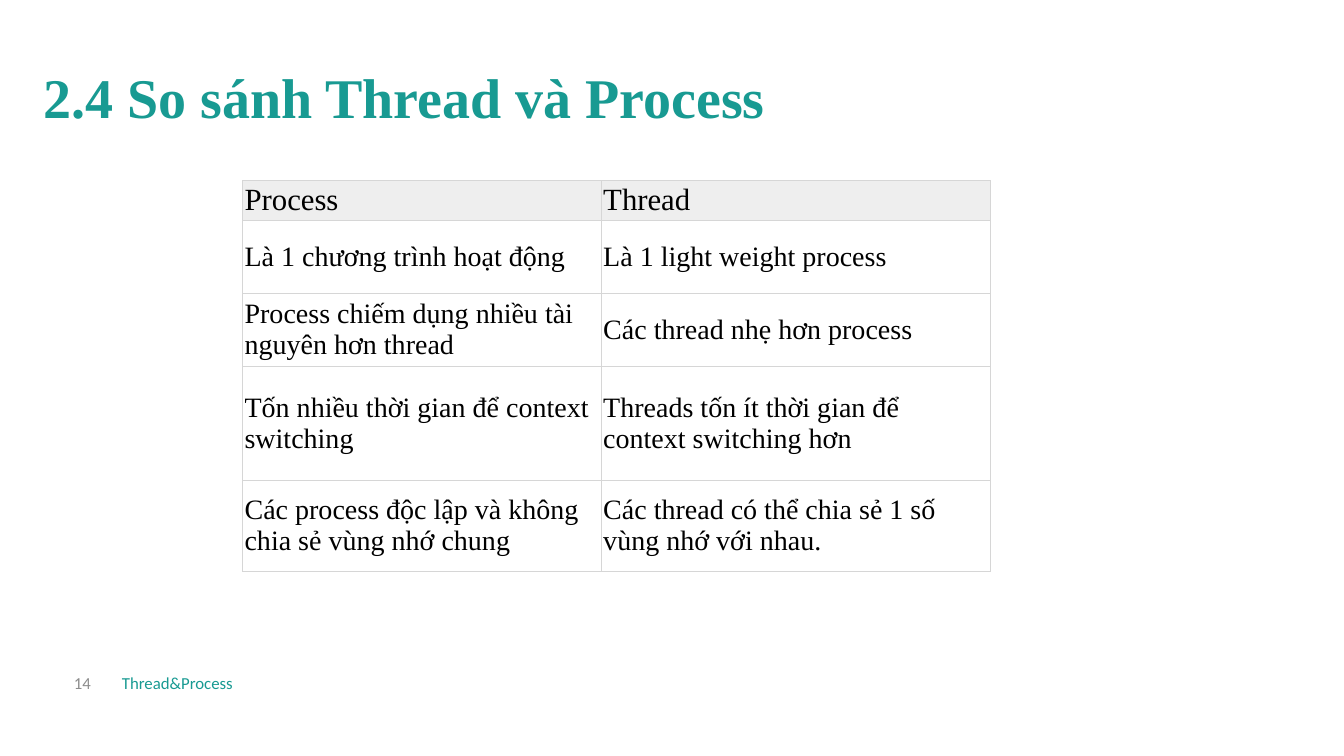
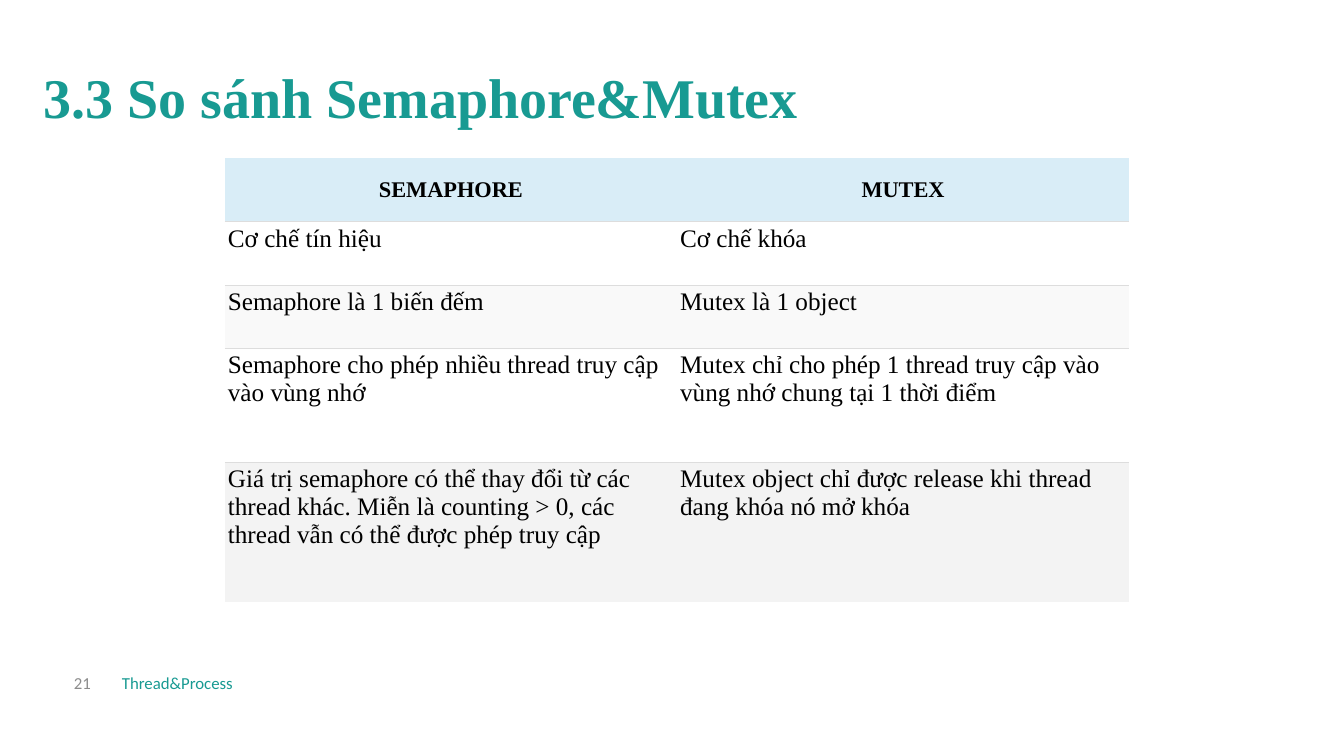
from lxml.etree import SubElement
from pptx import Presentation
from pptx.dml.color import RGBColor
from pptx.enum.text import MSO_ANCHOR, PP_ALIGN
from pptx.oxml.ns import qn
from pptx.util import Pt

COLORS = {
    "teal": "189A92",
    "gray": "8C8C8C",
    "black": "000000",
    "white": "FFFFFF",
    "header_gray": "EEEEEE",
    "header_blue": "D9EDF7",
    "stripe": "F9F9F9",
    "last_stripe": "F3F3F3",
    "grid": "D6D6D6",
    "rule": "DDDDDD",
}
SERIF = "Times New Roman"
SANS = "Calibri"


def color(name):
    return RGBColor.from_string(COLORS[name])


def write(frame, text, size=20, font=SERIF, fill="black", bold=False,
          align=PP_ALIGN.LEFT, spacing=None):
    para = frame.paragraphs[0]
    para.alignment = align
    if spacing:
        para.line_spacing = spacing
    span = para.add_run()
    span.text = text
    span.font.size = Pt(size)
    span.font.name = font
    span.font.bold = bold
    span.font.color.rgb = color(fill)


def set_borders(cell, sides):
    properties = cell._tc.get_or_add_tcPr()
    for index, side in enumerate(("L", "R", "T", "B")):
        line = SubElement(properties, qn(f"a:ln{side}"), w=str(Pt(0.75)))
        if side in sides:
            solid = SubElement(line, qn("a:solidFill"))
            SubElement(solid, qn("a:srgbClr"), val=COLORS[sides[side]])
        else:
            SubElement(line, qn("a:noFill"))
        properties.insert(index, line)


class SlideWriter:
    def __init__(self):
        self.deck = Presentation()
        self.deck.slide_width = Pt(960)
        self.deck.slide_height = Pt(540)
        self.page = None

    def start_page(self, title, number):
        self.page = self.deck.slides.add_slide(self.deck.slide_layouts[6])
        self.text(title, 24, 17.3, 924, 80.6, size=40, fill="teal",
                  bold=True, spacing=1.5)
        footer = dict(anchor=MSO_ANCHOR.MIDDLE, size=12, font=SANS)
        self.text("Thread&Process", 80, 473, 304, 28.8, fill="teal", **footer)
        self.text(str(number), 24, 473, 48, 28.8, fill="gray",
                  align=PP_ALIGN.RIGHT, **footer)

    def text(self, text, left, top, width, height, anchor=MSO_ANCHOR.TOP,
             **style):
        box = self.page.shapes.add_textbox(Pt(left), Pt(top), Pt(width),
                                           Pt(height))
        frame = box.text_frame
        frame.word_wrap = True
        frame.vertical_anchor = anchor
        write(frame, text, **style)

    def table(self, rows, left, top, widths, heights, fills, margin,
              header, body, body_anchor, grid=None, rule=None):
        table = self.page.shapes.add_table(
            len(rows), len(widths), Pt(left), Pt(top), Pt(sum(widths)),
            Pt(sum(heights))).table
        table.first_row = False
        table.horz_banding = False
        for column, width in zip(table.columns, widths):
            column.width = Pt(width)
        for index, (texts, height, fill) in enumerate(
                zip(rows, heights, fills)):
            table.rows[index].height = Pt(height)
            sides = dict.fromkeys("LRTB", grid) if grid else {}
            if rule and index > 0:
                sides["T"] = rule
            if rule and index < len(rows) - 1:
                sides["B"] = rule
            for cell, text in zip(table.rows[index].cells, texts):
                cell.margin_left = cell.margin_right = Pt(margin)
                cell.margin_top = cell.margin_bottom = Pt(margin)
                cell.vertical_anchor = (body_anchor if index
                                        else MSO_ANCHOR.MIDDLE)
                cell.fill.solid()
                cell.fill.fore_color.rgb = color(fill)
                set_borders(cell, sides)
                write(cell.text_frame, text, **(body if index else header))


def main():
    slides = SlideWriter()

    slides.start_page("2.4 So sánh Thread và Process", 14)
    slides.table(
        [("Process", "Thread"),
         ("Là 1 chương trình hoạt động", "Là 1 light weight process"),
         ("Process chiếm dụng nhiều tài nguyên hơn thread",
          "Các thread nhẹ hơn process"),
         ("Tốn nhiều thời gian để context switching",
          "Threads tốn ít thời gian để context switching hơn"),
         ("Các process độc lập và không chia sẻ vùng nhớ chung",
          "Các thread có thể chia sẻ 1 số vùng nhớ với nhau.")],
        173.5, 128.9, [256.2, 277.8], [23, 52, 52, 81.4, 64.8],
        ["header_gray"] + ["white"] * 4, margin=1.2,
        header=dict(size=22), body=dict(size=20),
        body_anchor=MSO_ANCHOR.MIDDLE, grid="grid")

    slides.start_page("3.3 So sánh Semaphore&Mutex", 21)
    slides.table(
        [("SEMAPHORE", "MUTEX"),
         ("Cơ chế tín hiệu", "Cơ chế khóa"),
         ("Semaphore là 1 biến đếm", "Mutex là 1 object"),
         ("Semaphore cho phép nhiều thread truy cập vào vùng nhớ",
          "Mutex chỉ cho phép 1 thread truy cập vào vùng nhớ chung"
          " tại 1 thời điểm"),
         ("Giá trị semaphore có thể thay đổi từ các thread khác. Miễn là"
          " counting > 0, các thread vẫn có thể được phép truy cập",
          "Mutex object chỉ được release khi thread đang khóa nó mở khóa")],
        160.6, 113, [323, 323], [45.3, 45.3, 45.3, 81.4, 100],
        ["header_blue", "white", "stripe", "white", "last_stripe"],
        margin=2.2, header=dict(size=16, bold=True, align=PP_ALIGN.CENTER),
        body=dict(size=18), body_anchor=MSO_ANCHOR.TOP, rule="rule")

    slides.deck.save("out.pptx")


if __name__ == "__main__":
    main()
